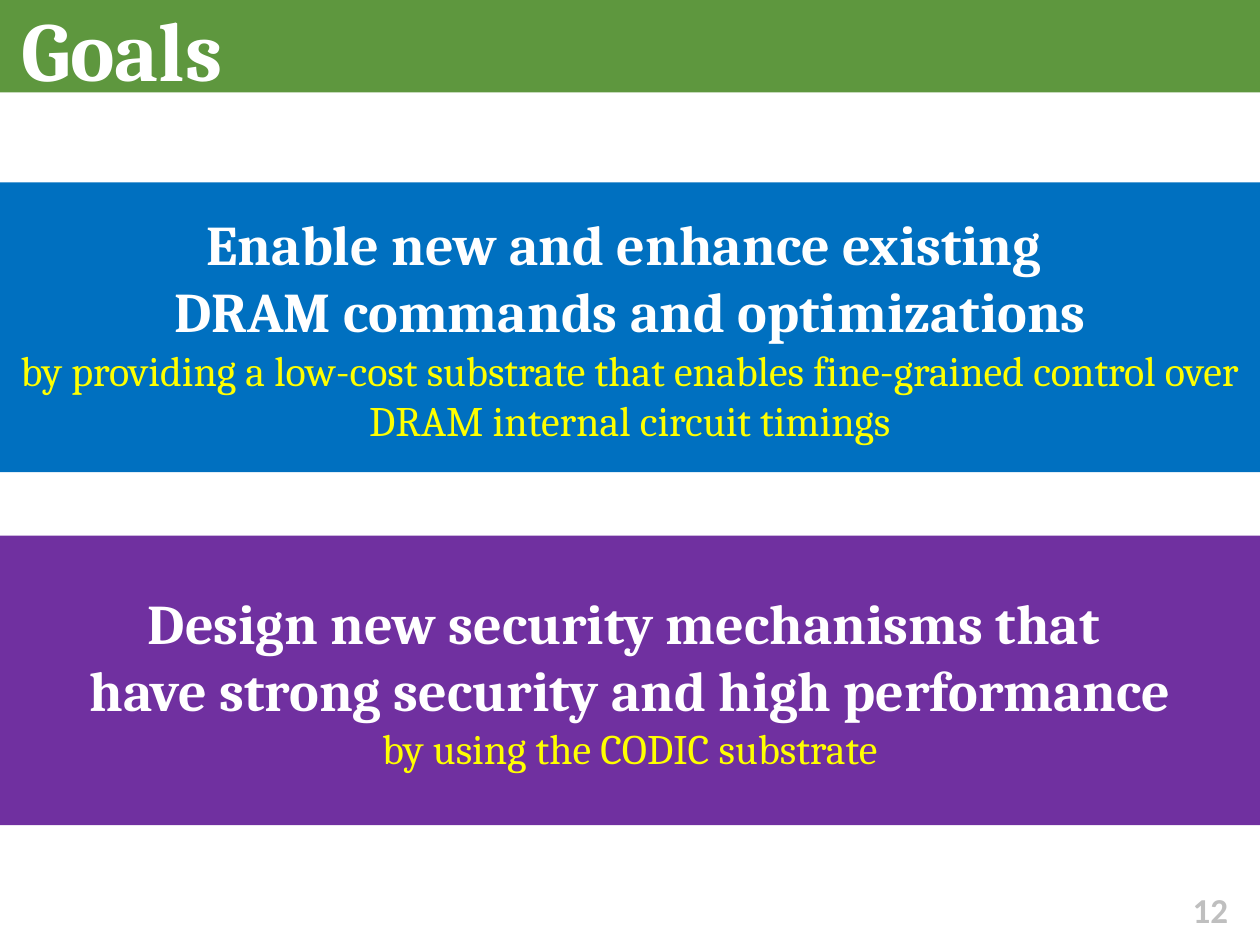
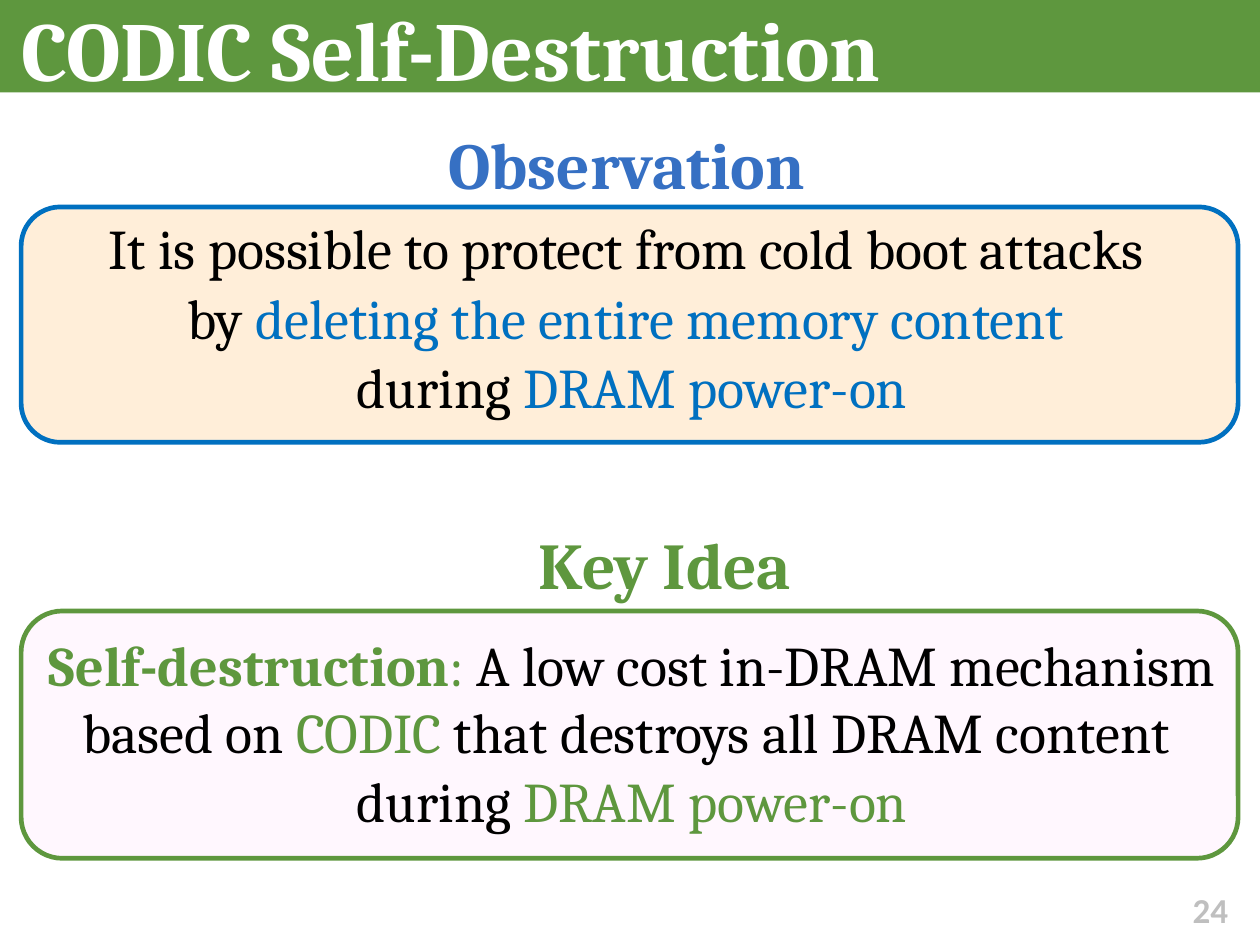
from lxml import etree
from pptx import Presentation
from pptx.dml.color import RGBColor
from pptx.enum.shapes import MSO_SHAPE
from pptx.enum.text import MSO_ANCHOR, PP_ALIGN
from pptx.oxml.ns import qn
from pptx.util import Cm, Pt

RECT = MSO_SHAPE.RECTANGLE
ROUNDED = MSO_SHAPE.ROUNDED_RECTANGLE
LEFT, CENTER = PP_ALIGN.LEFT, PP_ALIGN.CENTER
TOP, MIDDLE = MSO_ANCHOR.TOP, MSO_ANCHOR.MIDDLE

WHITE = RGBColor(0xFF, 0xFF, 0xFF)
BLACK = RGBColor(0x00, 0x00, 0x00)
GREEN = RGBColor(0x5E, 0x97, 0x3E)
BLUE = RGBColor(0x00, 0x70, 0xC0)
HEADING_BLUE = RGBColor(0x36, 0x70, 0xC3)
PURPLE = RGBColor(0x70, 0x30, 0xA0)
YELLOW = RGBColor(0xFF, 0xFF, 0x00)
GREY = RGBColor(0xBF, 0xBF, 0xBF)
CREAM = RGBColor(0xFF, 0xEE, 0xD9)
PINK = RGBColor(0xFF, 0x9C, 0xF3)

SLIDE_W, SLIDE_H = Cm(19.05), Cm(14.29)
FONT, NUMBER_FONT = "Cambria", "Calibri"
MARGIN = (0.18, 0.18)


def add_panel(s, x, y, w, h, fill, shape=RECT, line=None, opacity=None):
    sp = s.shapes.add_shape(shape, Cm(x), Cm(y), Cm(w), Cm(h))
    sp.shadow.inherit = False
    sp.fill.solid()
    sp.fill.fore_color.rgb = fill
    if opacity is not None:
        color = sp.fill._xPr.find(qn("a:solidFill"))[0]
        etree.SubElement(color, qn("a:alpha")).set("val", str(opacity * 1000))
    if line is None:
        sp.line.fill.background()
    else:
        sp.line.color.rgb = line
        sp.line.width = Pt(2)
    return sp


def set_text(sp, paragraphs, size=24, color=BLACK, bold=False, font=FONT,
             align=CENTER, anchor=TOP, margin=MARGIN, space=0):
    """Each paragraph is a list of (text, overrides) runs."""
    tf = sp.text_frame
    tf.word_wrap = True
    tf.vertical_anchor = anchor
    tf.margin_left = tf.margin_right = Cm(margin[0])
    tf.margin_top = tf.margin_bottom = Cm(margin[1])
    for i, runs in enumerate(paragraphs):
        p = tf.add_paragraph() if i else tf.paragraphs[0]
        p.alignment = align
        p.space_before = Pt(space if i else 0)
        for text, style in runs:
            r = p.add_run()
            r.text = text
            r.font.name = font
            r.font.size = Pt(style.get("size", size))
            r.font.bold = style.get("bold", bold)
            r.font.color.rgb = style.get("color", color)


def add_text(s, x, y, w, h, paragraphs, **style):
    box = s.shapes.add_textbox(Cm(x), Cm(y), Cm(w), Cm(h))
    set_text(box, paragraphs, **style)


def add_slide(prs, title, number):
    s = prs.slides.add_slide(prs.slide_layouts[6])
    add_panel(s, 0, 0, 19.05, 1.4, GREEN)
    add_text(s, 0.14, -0.22, 18.8, 1.7, [[(title, {})]],
             size=36, color=WHITE, bold=True, align=LEFT)
    add_text(s, 17.9, 13.46, 0.8, 0.6, [[(number, {})]], size=15, color=GREY,
             bold=True, font=NUMBER_FONT, anchor=MIDDLE, margin=(0.1, 0))
    return s


def add_goal(s, y, fill, goal_lines, means):
    sp = add_panel(s, 0, y, 19.05, 4.38, fill)
    paragraphs = [[(line, {})] for line in goal_lines]
    paragraphs.append([(means, {"size": 18, "color": YELLOW, "bold": False})])
    set_text(sp, paragraphs, color=WHITE, bold=True, anchor=MIDDLE,
             margin=(0.25, 0.13))


def add_heading(s, x, y, text, color):
    add_text(s, x, y, 6.15, 1.45, [[(text, {})]], size=28, color=color,
             bold=True, margin=(0.25, 0.13))


def add_statement(s, y, paragraphs):
    add_text(s, 0.03, y, 19.05, 3.5, paragraphs, space=1)


def build_goals(prs):
    s = add_slide(prs, "Goals", "12")
    add_goal(s, 2.76, BLUE,
             ["Enable new and enhance existing ",
              "DRAM commands and optimizations"],
             "by providing a low-cost substrate that enables fine-grained "
             "control over DRAM internal circuit timings")
    add_goal(s, 8.1, PURPLE,
             ["Design new security mechanisms that ",
              "have strong security and high performance"],
             "by using the CODIC substrate")


def build_self_destruction(prs):
    s = add_slide(prs, "CODIC Self-Destruction", "24")
    blue, green = {"color": BLUE}, {"color": GREEN}

    add_heading(s, 6.4, 1.75, "Observation", HEADING_BLUE)
    add_panel(s, 0.32, 3.13, 18.4, 3.56, CREAM, ROUNDED, BLUE)
    add_statement(s, 3.05, [
        [("It is possible to protect from cold boot attacks ", {})],
        [("by ", {}), ("deleting the entire memory content ", blue)],
        [("during ", {}), ("DRAM power-on", blue)],
    ])

    add_heading(s, 6.98, 7.8, "Key Idea", GREEN)
    add_panel(s, 0.32, 9.24, 18.4, 3.74, PINK, ROUNDED, GREEN, opacity=8)
    add_statement(s, 9.35, [
        [("Self-destruction", {"color": GREEN, "bold": True}), (": ", green),
         ("A low cost in-DRAM mechanism based on ", {}), ("CODIC ", green),
         ("that destroys all DRAM content ", {})],
        [("during ", {}), ("DRAM power-on", green)],
    ])


def main():
    prs = Presentation()
    prs.slide_width, prs.slide_height = SLIDE_W, SLIDE_H
    build_goals(prs)
    build_self_destruction(prs)
    prs.save("out.pptx")


if __name__ == "__main__":
    main()
